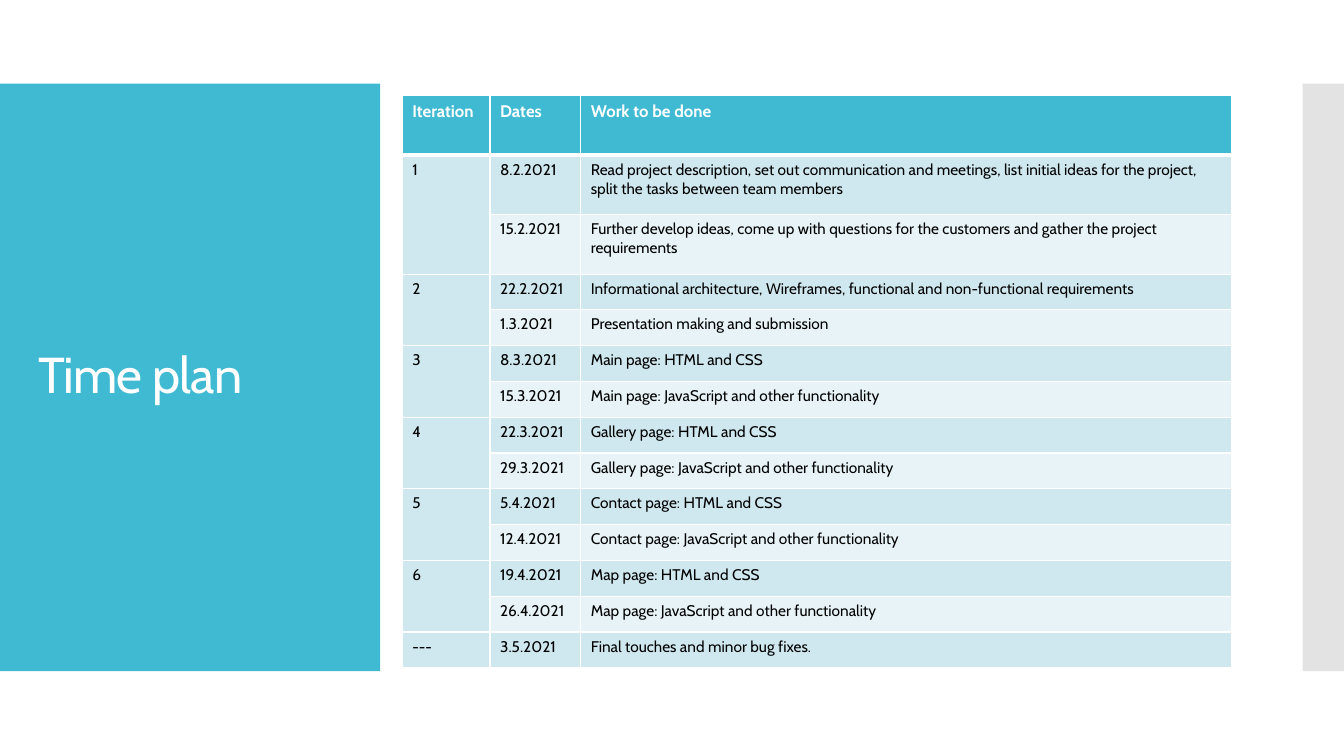
"""Builds a time plan slide with a title panel and a schedule table."""
import pptx
import pptx.util
import pptx.oxml
import pptx.oxml.ns
import pptx.dml.color
import pptx.enum.shapes
import pptx.enum.text
from lxml import etree

WIDTH, HEIGHT = 13.33, 7.5
PANEL_TOP, PANEL_HEIGHT = 0.83, 5.83
TABLE_HEIGHT, TALL_ROW = 5.68, 0.59
TALL_ROWS = 3
COLUMN_WIDTHS = (0.87, 0.9, 6.46)
FONT = "Cabin"

TEAL = pptx.dml.color.RGBColor(0x40, 0xBA, 0xD2)
GREY = pptx.dml.color.RGBColor(0xC8, 0xC8, 0xC8)
BAND_DARK = pptx.dml.color.RGBColor(0xCF, 0xE7, 0xEE)
BAND_LIGHT = pptx.dml.color.RGBColor(0xE8, 0xF3, 0xF7)
WHITE = pptx.dml.color.RGBColor(0xFF, 0xFF, 0xFF)
BLACK = pptx.dml.color.RGBColor(0, 0, 0)

HEADINGS = ("Iteration", "Dates", "Work to be done")
ITERATIONS = (
    ("1", (
        ("8.2.2021", "Read project description, set out communication and meetings, "
                     "list initial ideas for the project, split the tasks between team members"),
        ("15.2.2021", "Further develop ideas, come up with questions for the customers "
                      "and gather the project requirements"))),
    ("2", (
        ("22.2.2021", "Informational architecture, Wireframes, functional and "
                      "non-functional requirements"),
        ("1.3.2021", "Presentation making and submission"))),
    ("3", (
        ("8.3.2021", "Main page: HTML and CSS"),
        ("15.3.2021", "Main page: JavaScript and other functionality"))),
    ("4", (
        ("22.3.2021", "Gallery page: HTML and CSS"),
        ("29.3.2021", "Gallery page: JavaScript and other functionality"))),
    ("5", (
        ("5.4.2021", "Contact page: HTML and CSS"),
        ("12.4.2021", "Contact page: JavaScript and other functionality"))),
    ("6", (
        ("19.4.2021", "Map page: HTML and CSS"),
        ("26.4.2021", "Map page: JavaScript and other functionality"))),
    ("---", (("3.5.2021", "Final touches and minor bug fixes."),)),
)


def inches(*lengths):
    return [pptx.util.Inches(length) for length in lengths]


def write_text(frame, text, size, color, bold=False, line_spacing=None, tracking=None):
    paragraph = frame.paragraphs[0]
    if line_spacing:
        paragraph.line_spacing = line_spacing
    run = paragraph.add_run()
    run.text = text
    run.font.name = FONT
    run.font.size = pptx.util.Pt(size)
    run.font.bold = bold
    run.font.color.rgb = color
    if tracking:
        run.font._element.set("spc", str(round(tracking * 100)))


def add_panel(slide, left, width, color, opacity=None):
    panel = slide.shapes.add_shape(
        pptx.enum.shapes.MSO_SHAPE.RECTANGLE,
        *inches(left, PANEL_TOP, width, PANEL_HEIGHT))
    panel.shadow.inherit = False
    panel.line.fill.background()
    panel.fill.solid()
    panel.fill.fore_color.rgb = color
    if opacity:
        tint = panel._element.spPr.find(".//" + pptx.oxml.ns.qn("a:srgbClr"))
        alpha = etree.SubElement(tint, pptx.oxml.ns.qn("a:alpha"))
        alpha.set("val", str(opacity * 1000))


def add_title(slide, text):
    box = slide.shapes.add_textbox(*inches(0.28, 1.23, 3.22, 5.03))
    box.text_frame.word_wrap = True
    box.text_frame.vertical_anchor = pptx.enum.text.MSO_ANCHOR.MIDDLE
    write_text(box.text_frame, text, 36, WHITE, line_spacing=0.9, tracking=-0.6)


def set_borders(cell, top=1, bottom=1):
    properties = cell._tc.get_or_add_tcPr()
    widths = {"lnL": 1, "lnR": 1, "lnT": top, "lnB": bottom}
    for index, (side, width) in enumerate(widths.items()):
        line = etree.Element(pptx.oxml.ns.qn("a:" + side), w=str(pptx.util.Pt(width)))
        fill = etree.SubElement(line, pptx.oxml.ns.qn("a:solidFill"))
        etree.SubElement(fill, pptx.oxml.ns.qn("a:srgbClr"), val=str(WHITE))
        properties.insert(index, line)


def style_cell(cell, fill, **borders):
    cell.fill.solid()
    cell.fill.fore_color.rgb = fill
    set_borders(cell, **borders)


def add_schedule(slide):
    row_count = 1 + sum(len(tasks) for _, tasks in ITERATIONS)
    short_row = (TABLE_HEIGHT - TALL_ROWS * TALL_ROW) / (row_count - TALL_ROWS)
    table = slide.shapes.add_table(
        row_count, len(HEADINGS),
        *inches(3.99, 0.95, sum(COLUMN_WIDTHS), TABLE_HEIGHT)).table
    for column, width in zip(table.columns, inches(*COLUMN_WIDTHS)):
        column.width = width
    for index, row in enumerate(table.rows):
        row.height = pptx.util.Inches(TALL_ROW if index < TALL_ROWS else short_row)
    for column, heading in enumerate(HEADINGS):
        cell = table.cell(0, column)
        style_cell(cell, TEAL, bottom=3)
        write_text(cell.text_frame, heading, 12, WHITE, bold=True)
    first = 1
    for iteration, tasks in ITERATIONS:
        for offset, task in enumerate(tasks):
            row = first + offset
            band = BAND_LIGHT if offset else BAND_DARK
            for column, text in enumerate(("", *task)):
                cell = table.cell(row, column)
                style_cell(cell, band if column else BAND_DARK, top=3 if row == 1 else 1)
                if column:
                    write_text(cell.text_frame, text, 11, BLACK)
        label = table.cell(first, 0)
        if len(tasks) > 1:
            label.merge(table.cell(first + len(tasks) - 1, 0))
        write_text(label.text_frame, iteration, 11, BLACK)
        first += len(tasks)


def main():
    presentation = pptx.Presentation()
    presentation.slide_width, presentation.slide_height = inches(WIDTH, HEIGHT)
    slide = presentation.slides.add_slide(presentation.slide_layouts[6])
    add_panel(slide, 0, 3.77, TEAL)
    add_panel(slide, 12.92, WIDTH - 12.92, GREY, opacity=50)
    add_title(slide, "Time plan")
    add_schedule(slide)
    presentation.save("out.pptx")


if __name__ == "__main__":
    main()
